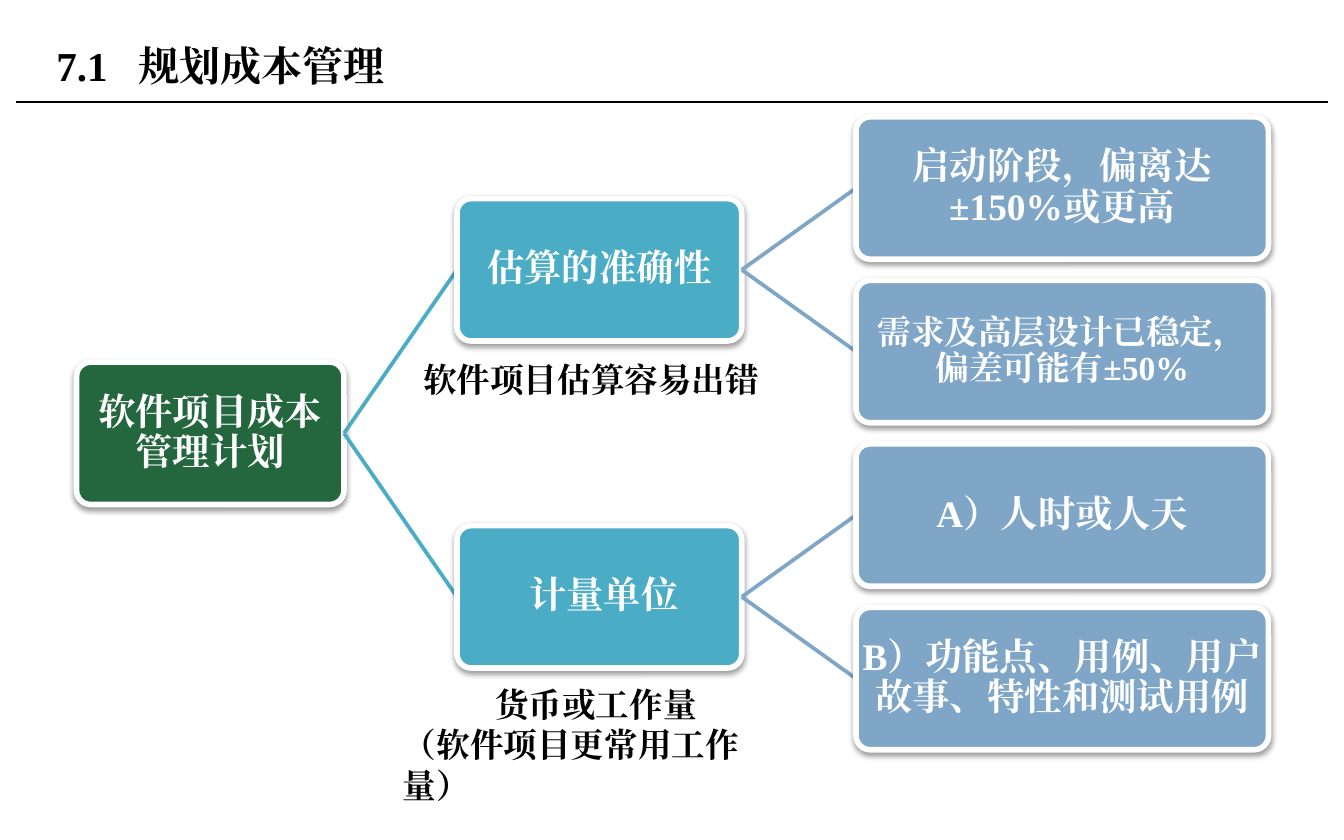
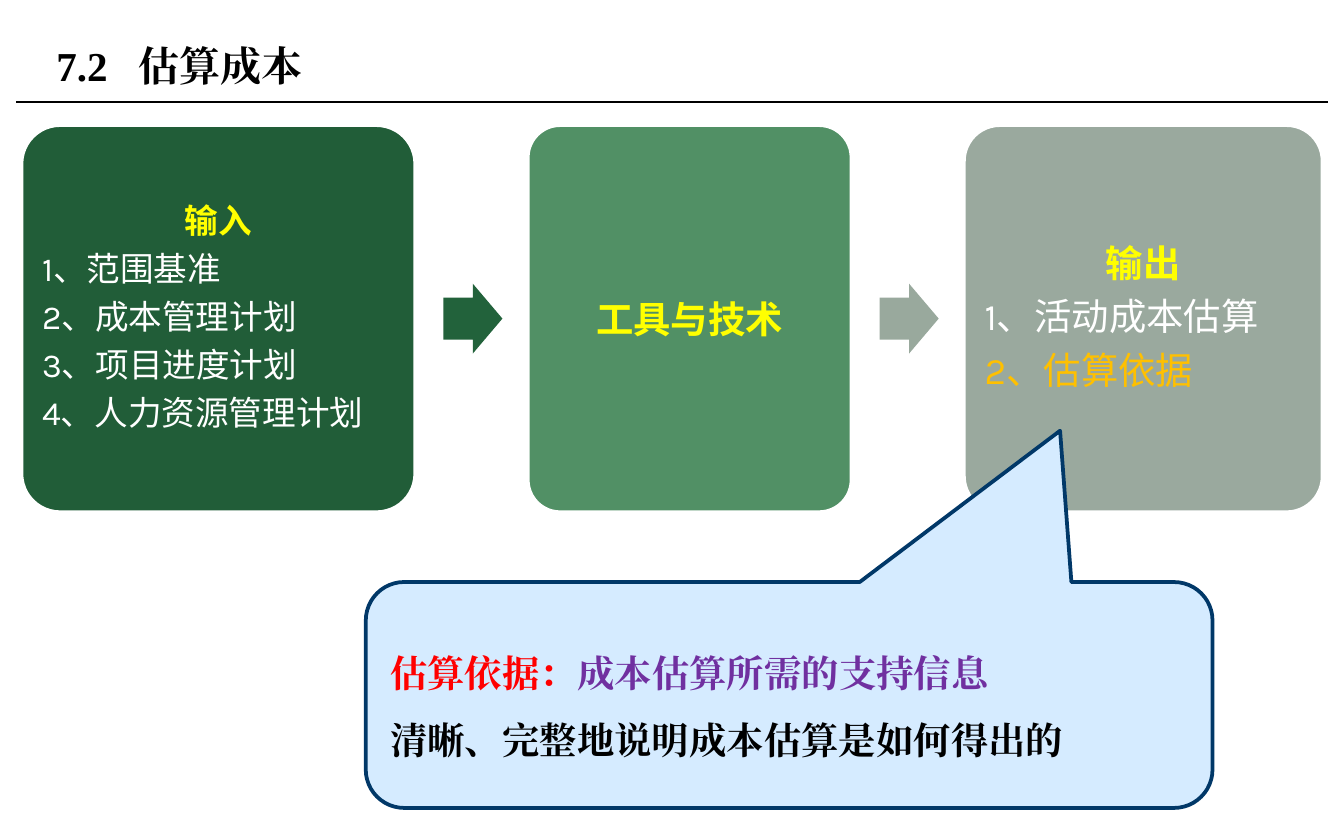
from dataclasses import dataclass
from lxml.etree import SubElement as Sub
from pptx import Presentation
from pptx.dml.color import RGBColor
from pptx.enum.shapes import MSO_CONNECTOR as Link, MSO_SHAPE as Kind
from pptx.enum.text import MSO_ANCHOR as Anchor, PP_ALIGN as Align
from pptx.oxml.ns import qn
from pptx.util import Pt

WHITE, BLACK, YELLOW = "FFFFFF", "000000", "FFFF00"
SERIF, SANS = "Times New Roman", "Karla"
LEFT, MID = Align.LEFT, Align.CENTER

LEAF_TOP, STEP, NODE_H = 62.6, 87.6, 76.3
FIRST_X, PANEL_Y, PANEL_H, GAP = 11.5, 67, 207.4, 60.2
ARROW_W, ARROW_H = 31.7, 37.4


@dataclass(frozen=True)
class Run:
    text: str
    color: str = BLACK
    bold: bool = True


@dataclass(frozen=True)
class Para:
    runs: tuple[Run, ...]
    align: Align = LEFT


@dataclass(frozen=True)
class Style:
    size: float
    font: str = SERIF
    space: float = 1.0
    after: float = 0


@dataclass(frozen=True)
class Box:
    x: float
    y: float
    w: float
    h: float

    def points(self) -> tuple:
        return Pt(self.x), Pt(self.y), Pt(self.w), Pt(self.h)


@dataclass(frozen=True)
class Node:
    text: str
    kids: tuple = ()
    size: float = 20

    def leaves(self) -> int:
        return sum(kid.leaves() for kid in self.kids) or 1


@dataclass(frozen=True)
class Level:
    x: float
    w: float
    color: str


@dataclass(frozen=True)
class Panel:
    w: float
    color: str
    paras: tuple[Para, ...]
    style: Style
    inset: float
    arrow: str = ""


LEVELS = (
    Level(41, 143.3, "24673E"),
    Level(244.8, 152.6, "4BACC6"),
    Level(458.6, 221, "7FA6C7"),
)

PLAN = Node("软件项目成本管理计划", (
    Node("估算的准确性", (
        Node("启动阶段，偏离达±150%或更高"),
        Node("需求及高层设计已稳定，偏差可能有±50%", size=18),
    )),
    Node(" 计量单位", (
        Node("A）人时或人天"),
        Node("B）功能点、用例、用户故事、特性和测试用例"),
    )),
))


def head(text: str) -> Para:
    return Para((Run(text, YELLOW),), MID)


def item(text: str, color: str = WHITE) -> Para:
    return Para((Run(text, color, False),))


def tight(size: float, font: str) -> Style:
    return Style(size, font, 0.9, 0.35 * size)


PANELS = (
    Panel(211, "215D38", (
        head("输入"),
        item("1、范围基准"),
        item("2、成本管理计划"),
        item("3、项目进度计划"),
        item("4、人力资源管理计划"),
    ), tight(18, SANS), 5, "22623B"),
    Panel(173.5, "519065", (head("工具与技术"),), Style(20, SANS), 5.5, "99A99D"),
    Panel(192.2, "9AA99E", (
        head("输出"),
        item("1、活动成本估算"),
        item("2、估算依据", "FFC000"),
    ), tight(20, SANS), 5.5),
)


def hue(code: str) -> RGBColor:
    return RGBColor.from_string(code)


def write(frame, paras: tuple[Para, ...], style: Style, inset: float | None = None) -> None:
    frame.word_wrap = True
    if inset is not None:
        frame.margin_left = frame.margin_right = Pt(inset)
        frame.margin_top = frame.margin_bottom = Pt(inset)
    for i, para in enumerate(paras):
        line = frame.add_paragraph() if i else frame.paragraphs[0]
        line.alignment = para.align
        line.line_spacing = style.space
        line.space_before = Pt(0)
        line.space_after = Pt(style.after)
        for part in para.runs:
            run = line.add_run()
            run.text = part.text
            run.font.size = Pt(style.size)
            run.font.bold = part.bold
            run.font.name = style.font
            run.font.color.rgb = hue(part.color)
            Sub(run._r.get_or_add_rPr(), qn("a:ea"), typeface=style.font)


def shape(slide, kind: Kind, box: Box, fill: str, edge: str = "", width: float = 2,
          adjust: tuple[float, ...] = (0.1,)):
    made = slide.shapes.add_shape(kind, *box.points())
    made.shadow.inherit = False
    made.fill.solid()
    made.fill.fore_color.rgb = hue(fill)
    if edge:
        made.line.color.rgb = hue(edge)
        made.line.width = Pt(width)
    else:
        made.line.fill.background()
    for i, value in enumerate(adjust):
        made.adjustments[i] = value
    made.text_frame.vertical_anchor = Anchor.MIDDLE
    return made


def shade(made) -> None:
    effects = made._element.spPr.find(qn("a:effectLst"))
    drop = Sub(effects, qn("a:outerShdw"), blurRad=str(Pt(3.1)), dist=str(Pt(1.6)),
               dir="5400000", rotWithShape="0")
    color = Sub(drop, qn("a:srgbClr"), val=BLACK)
    Sub(color, qn("a:alpha"), val="38000")


def rule(slide, ends: tuple[float, ...], color: str, width: float):
    line = slide.shapes.add_connector(Link.STRAIGHT, *map(Pt, ends))
    line.line.color.rgb = hue(color)
    line.line.width = Pt(width)
    Sub(line._element.spPr, qn("a:effectLst"))
    return line


def start(deck, number: str, name: str, width: float):
    slide = deck.slides.add_slide(deck.slide_layouts[5])
    rule(slide, (8.6, 54.7, 711.4, 54.7), BLACK, 0.75)
    title = slide.shapes.title
    title.left, title.top, title.width, title.height = Box(23, 9.4, width, 51.1).points()
    frame = title.text_frame
    frame.vertical_anchor = Anchor.MIDDLE
    tabs = Sub(frame.paragraphs[0]._p.get_or_add_pPr(), qn("a:tabLst"))
    Sub(tabs, qn("a:tab"), pos=str(Pt(44)), algn="l")
    write(frame, (Para((Run(f"{number}\t{name}"),)),), Style(22))
    return slide


def branch(slide, node: Node, depth: int = 0, first: int = 0):
    level = LEVELS[depth]
    y = LEAF_TOP + STEP * (first + (node.leaves() - 1) / 2)
    made = shape(slide, Kind.ROUNDED_RECTANGLE, Box(level.x, y, level.w, NODE_H),
                 level.color, WHITE, 3)
    shade(made)
    write(made.text_frame, (Para((Run(node.text, WHITE),), MID),), tight(node.size, SERIF), 0.7)
    for kid in node.kids:
        child = branch(slide, kid, depth + 1, first)
        line = rule(slide, (0, 0, 0, 0), LEVELS[depth + 1].color, 2)
        line.begin_connect(made, 3)
        line.end_connect(child, 1)
        child._element.addprevious(line._element)
        first += kid.leaves()
    return made


def note(slide, box: Box, paras: tuple[Para, ...]) -> None:
    write(slide.shapes.add_textbox(*box.points()).text_frame, paras, Style(18))


def plan(deck) -> None:
    slide = start(deck, "7.1", "规划成本管理", 524)
    branch(slide, PLAN)
    note(slide, Box(219.6, 188.6, 201, 29), (Para((Run("软件项目估算容易出错"),)),))
    note(slide, Box(208.8, 362.9, 221, 51), (
        Para((Run("货币或工作量"),), MID),
        Para((Run("（软件项目更常用工作量）"),)),
    ))


def costs(deck) -> None:
    slide = start(deck, "7.2", "估算成本", 459.4)
    x = FIRST_X
    for panel in PANELS:
        made = shape(slide, Kind.ROUNDED_RECTANGLE, Box(x, PANEL_Y, panel.w, PANEL_H),
                     panel.color, WHITE)
        write(made.text_frame, panel.paras, panel.style, panel.inset)
        x += panel.w
        if panel.arrow:
            y = PANEL_Y + (PANEL_H - ARROW_H) / 2
            shape(slide, Kind.RIGHT_ARROW, Box(x + 15, y, ARROW_W, ARROW_H),
                  panel.arrow, adjust=(0.6, 0.5))
        x += GAP
    call = shape(slide, Kind.ROUNDED_RECTANGULAR_CALLOUT, Box(196, 311.8, 453.6, 121),
                 "D5EBFF", "013868", adjust=(0.32, -1.17, 0.17))
    write(call.text_frame, (
        Para((Run("估算依据：", "FF0000"), Run("成本估算所需的支持信息", "7030A0"))),
        Para((Run("清晰、完整地说明成本估算是如何得出的"),)),
    ), Style(20, space=1.5))


def main() -> None:
    deck = Presentation()
    deck.slide_width, deck.slide_height = Pt(720), Pt(450)
    plan(deck)
    costs(deck)
    deck.save("out.pptx")


if __name__ == "__main__":
    main()
